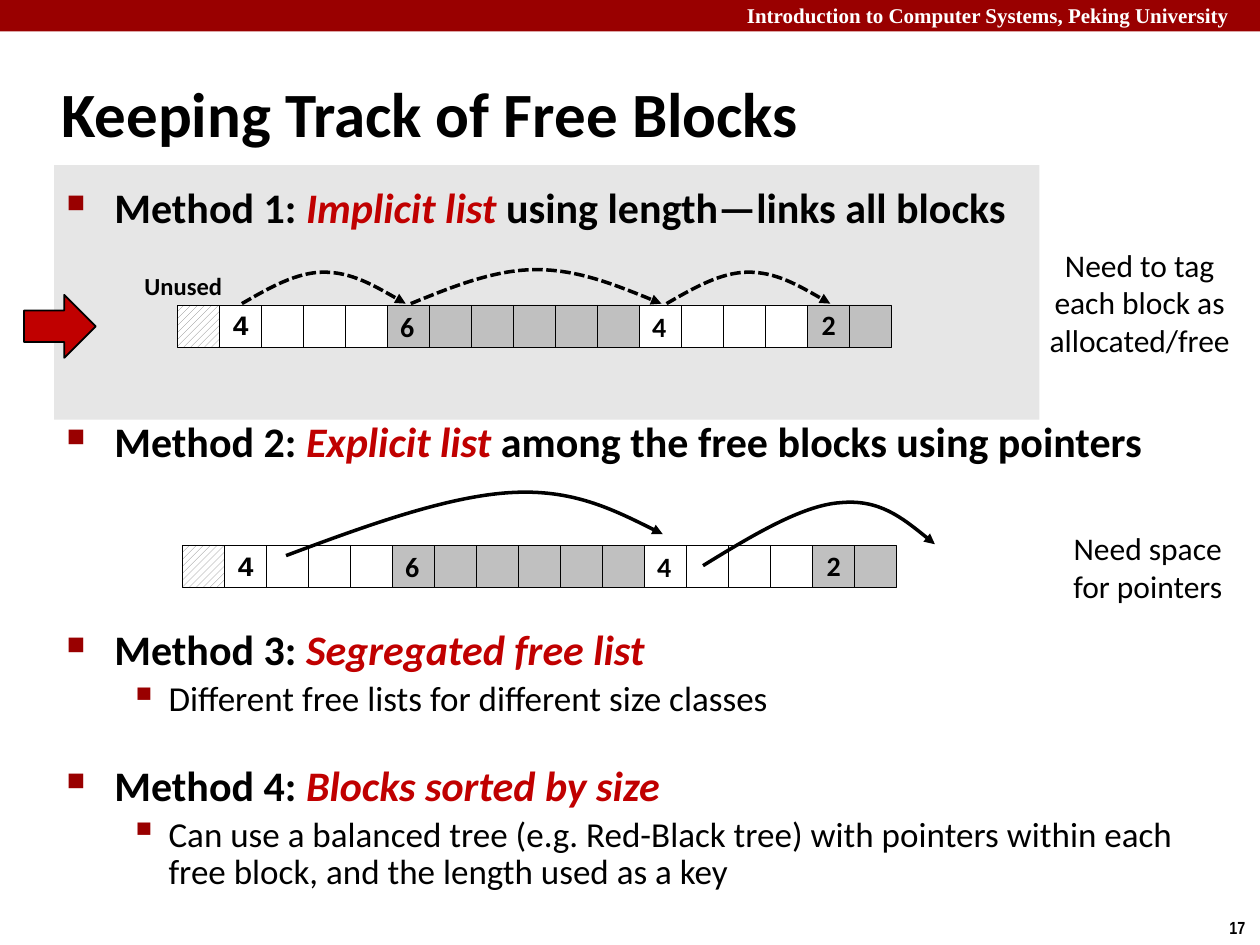
from itertools import accumulate
from lxml.etree import SubElement
from pptx import Presentation
from pptx.dml.color import RGBColor
from pptx.enum.dml import MSO_LINE, MSO_PATTERN
from pptx.enum.shapes import MSO_SHAPE
from pptx.enum.text import MSO_ANCHOR, PP_ALIGN
from pptx.oxml.ns import qn
from pptx.util import Inches, Pt

BLACK, WHITE, GREY = "000000", "FFFFFF", "C0C0C0"
RED, DARK = "C00000", "990000"
CELL = 1 / 3
RUNS = [(4, WHITE), (6, GREY), (4, WHITE), (2, GREY)]
LABELS = [
    dict(font="Courier New", align=PP_ALIGN.CENTER, lead=0.94),
    dict(),
    dict(),
    dict(align=PP_ALIGN.CENTER, lead=0.98),
]


def hue(code):
    return RGBColor.from_string(code)


def put(par, text, size=18, font="Calibri", color=BLACK, bold=False,
        italic=False, align=None, lead=None):
    if align is not None:
        par.alignment = align
    if lead:
        par.line_spacing = lead
    run = par.add_run()
    run.text = text
    face = run.font
    face.size, face.name = Pt(size), font
    face.bold, face.italic = bold, italic
    face.color.rgb = hue(color)


def label(slide, box, lines, wrap=False, anchor=MSO_ANCHOR.TOP, **style):
    frame = slide.shapes.add_textbox(*map(Inches, box)).text_frame
    frame.word_wrap, frame.vertical_anchor = wrap, anchor
    for i, line in enumerate(lines):
        par = frame.add_paragraph() if i else frame.paragraphs[0]
        put(par, line, **style)


def block(shapes, kind, box, fill, line=None):
    shape = shapes.add_shape(kind, *map(Inches, box))
    shape.shadow.inherit = False
    if fill:
        shape.fill.solid()
        shape.fill.fore_color.rgb = hue(fill)
    else:
        shape.fill.patterned()
        shape.fill.pattern = MSO_PATTERN.WIDE_UPWARD_DIAGONAL
        shape.fill.fore_color.rgb = hue("808080")
        shape.fill.back_color.rgb = hue(WHITE)
    if line:
        shape.line.color.rgb = hue(BLACK)
        shape.line.width = Pt(line)
    else:
        shape.line.fill.background()
    return shape


def strip(slide, left, top):
    shapes = slide.shapes.add_group_shape().shapes
    fills = [None] + [fill for count, fill in RUNS for _ in range(count)]
    cells = [block(shapes, MSO_SHAPE.RECTANGLE,
                   (left + i * CELL, top, CELL, CELL), fill, 0.25)
             for i, fill in enumerate(fills)]
    counts = [count for count, _ in RUNS]
    heads = accumulate(counts[:-1], initial=1)
    for head, count, style in zip(heads, counts, LABELS):
        frame = cells[head].text_frame
        frame.word_wrap = False
        frame.vertical_anchor = MSO_ANCHOR.MIDDLE
        style = dict(align=PP_ALIGN.LEFT) | style
        put(frame.paragraphs[0], str(count), size=16, bold=True, **style)


def curve(slide, points, dash=False):
    spots = [(Inches(x), Inches(y)) for x, y in points]
    pen = slide.shapes.build_freeform(*spots[0])
    pen.add_line_segments(spots[1:], close=False)
    shape = pen.convert_to_shape()
    shape.shadow.inherit = False
    shape.fill.background()
    shape.line.color.rgb = hue(BLACK)
    shape.line.width = Pt(2)
    if dash:
        shape.line.dash_style = MSO_LINE.SQUARE_DOT
    SubElement(shape.line._get_or_add_ln(), qn("a:tailEnd"), type="triangle")
    steps = list(shape._element.iter(qn("a:lnTo")))
    track = steps[0].getparent()
    for i in range(0, len(steps), 3):
        bend = SubElement(track, qn("a:cubicBezTo"))
        for step in steps[i:i + 3]:
            bend.append(step[0])
            track.remove(step)


def arc(slide, left, right, base, peak):
    mid, half = (left + right) / 2, (base + peak) / 2
    sixth = (right - left) / 6
    curve(slide, [(left, base), (left + sixth, half), (mid - sixth, peak),
                  (mid, peak), (mid + sixth, peak), (right - sixth, half),
                  (right, base)], dash=True)


def bullet(par, left, hang, size, mark):
    props = par._p.get_or_add_pPr()
    props.set("marL", str(Inches(left)))
    props.set("indent", str(Inches(-hang)))
    tint = SubElement(props, qn("a:buClr"))
    SubElement(tint, qn("a:srgbClr"), val=DARK)
    SubElement(props, qn("a:buSzPct"), val=str(size * 1000))
    SubElement(props, qn("a:buChar"), char=mark)


def body(slide, box):
    methods = [
        (1, "Implicit list ", "using length—links all blocks", None, 0, None),
        (2, "Explicit list ", "among the free blocks using pointers", None,
         105, None),
        (3, "Segregated free list", "",
         "Different free lists for different size classes", 95, 0.83),
        (4, "Blocks sorted by size", "",
         "Can use a balanced tree (e.g. Red-Black tree) with pointers within "
         "each free block, and the length used as a key", 28, 0.83),
    ]
    frame = slide.shapes.add_textbox(*map(Inches, box)).text_frame
    frame.word_wrap = True
    for number, name, rest, detail, gap, lead in methods:
        par = frame.paragraphs[0] if number == 1 else frame.add_paragraph()
        bullet(par, 0.38, 0.38, 60, "■")
        if gap:
            par.space_before = Pt(gap)
        put(par, f"Method {number}: ", size=24, bold=True, lead=lead)
        put(par, name, size=24, bold=True, italic=True, color=RED)
        if rest:
            put(par, rest, size=24, bold=True)
        if detail:
            par = frame.add_paragraph()
            par.level = 1
            bullet(par, 0.81, 0.31, 110, "▪")
            par.space_before = Pt(4.5)
            put(par, detail, size=20, lead=0.88)


def header(slide, box):
    left, top, width, _ = box
    block(slide.shapes, MSO_SHAPE.RECTANGLE, box, DARK)
    label(slide, (left + width - 4.17, top - 0.03, 4.24, 0.3),
          ["Introduction to Computer Systems, Peking University"], wrap=True,
          size=12, font="Times New Roman", color=WHITE, bold=True)


def implicit(slide, left, top):
    for start, end, peak in [(1.92, 3.22, 2.16), (3.26, 5.25, 2.14),
                             (5.29, 6.59, 2.16)]:
        arc(slide, start, end, top - 0.01, peak)
    label(slide, (left - 0.41, top - 0.34, 0.91, 0.37), ["Unused"], size=14,
          bold=True, align=PP_ALIGN.CENTER, anchor=MSO_ANCHOR.MIDDLE)
    strip(slide, left, top)
    block(slide.shapes, MSO_SHAPE.RIGHT_ARROW,
          (left - 1.22, top - 0.08, 0.57, 0.5), RED, 1)


def explicit(slide, left, top):
    strip(slide, left, top)
    curve(slide, [(2.27, 4.41), (2.91, 4.17), (3.55, 3.94), (4.05, 3.91),
                  (4.54, 3.88), (4.9, 4.06), (5.26, 4.24)])
    curve(slide, [(5.58, 4.49), (5.97, 4.25), (6.37, 4.01), (6.67, 3.99),
                  (6.98, 3.96), (7.2, 4.14), (7.42, 4.32)])


def main():
    deck = Presentation()
    deck.slide_width, deck.slide_height = Inches(10), Inches(7.5)
    slide = deck.slides.add_slide(deck.slide_layouts[6])
    header(slide, (0, 0, 10, 0.25))
    label(slide, (9.66, 7.23, 0.34, 0.27), ["17"], size=10,
          font="Arial Narrow", bold=True)
    block(slide.shapes, MSO_SHAPE.RECTANGLE, (0.43, 1.31, 7.82, 2.02),
          "E6E6E6")
    label(slide, (0.39, 0.48, 8.3, 0.83), ["Keeping Track of Free Blocks"],
          wrap=True, anchor=MSO_ANCHOR.MIDDLE, size=36, bold=True)
    body(slide, (0.43, 1.39, 9.07, 5.88))
    label(slide, (8.22, 1.9, 1.65, 1.01),
          ["Need to tag", "each block as", "allocated/free"],
          align=PP_ALIGN.CENTER)
    label(slide, (8.39, 4.15, 1.44, 0.71), ["Need space", "for pointers"],
          align=PP_ALIGN.CENTER)
    implicit(slide, 1.41, 2.42)
    explicit(slide, 1.45, 4.33)
    deck.save("out.pptx")


if __name__ == "__main__":
    main()
